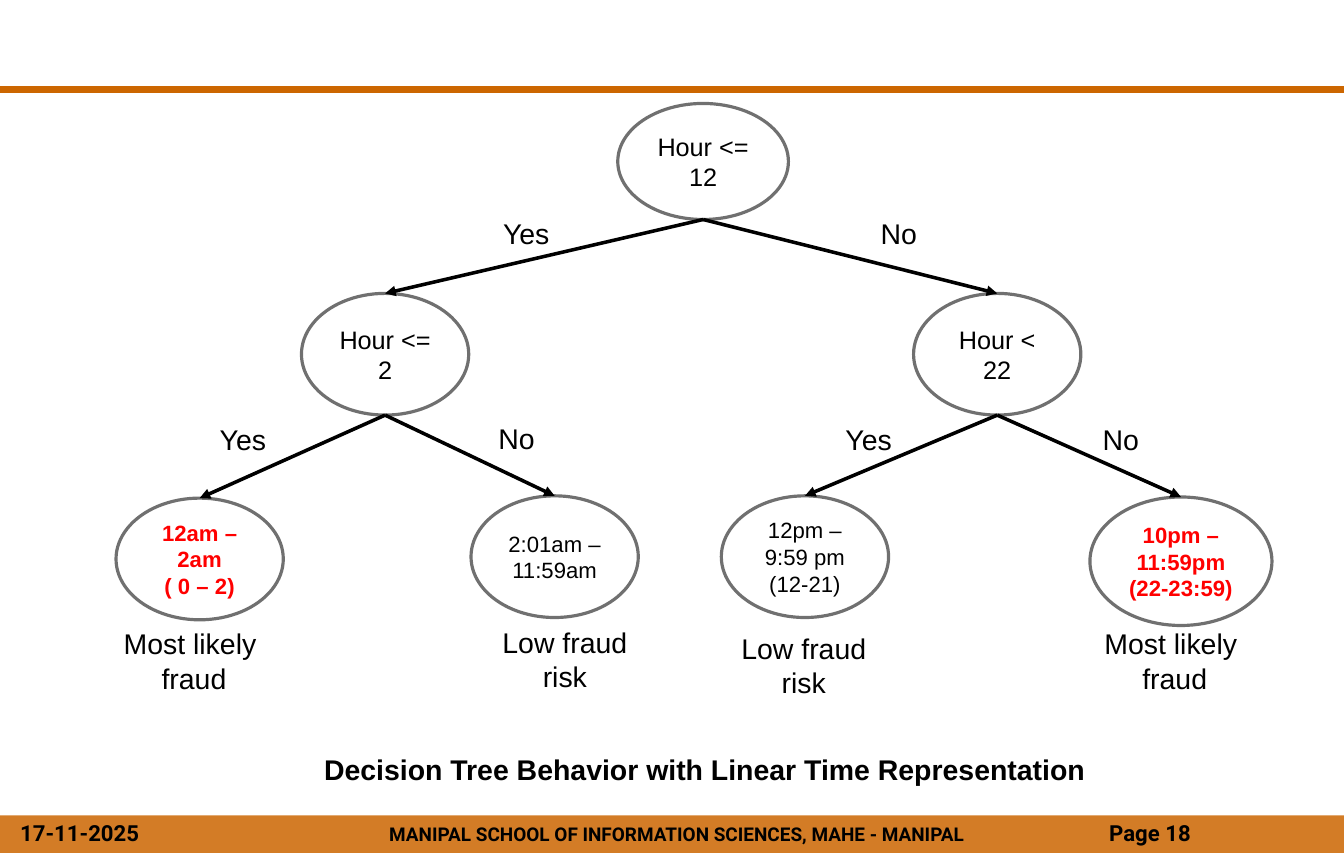
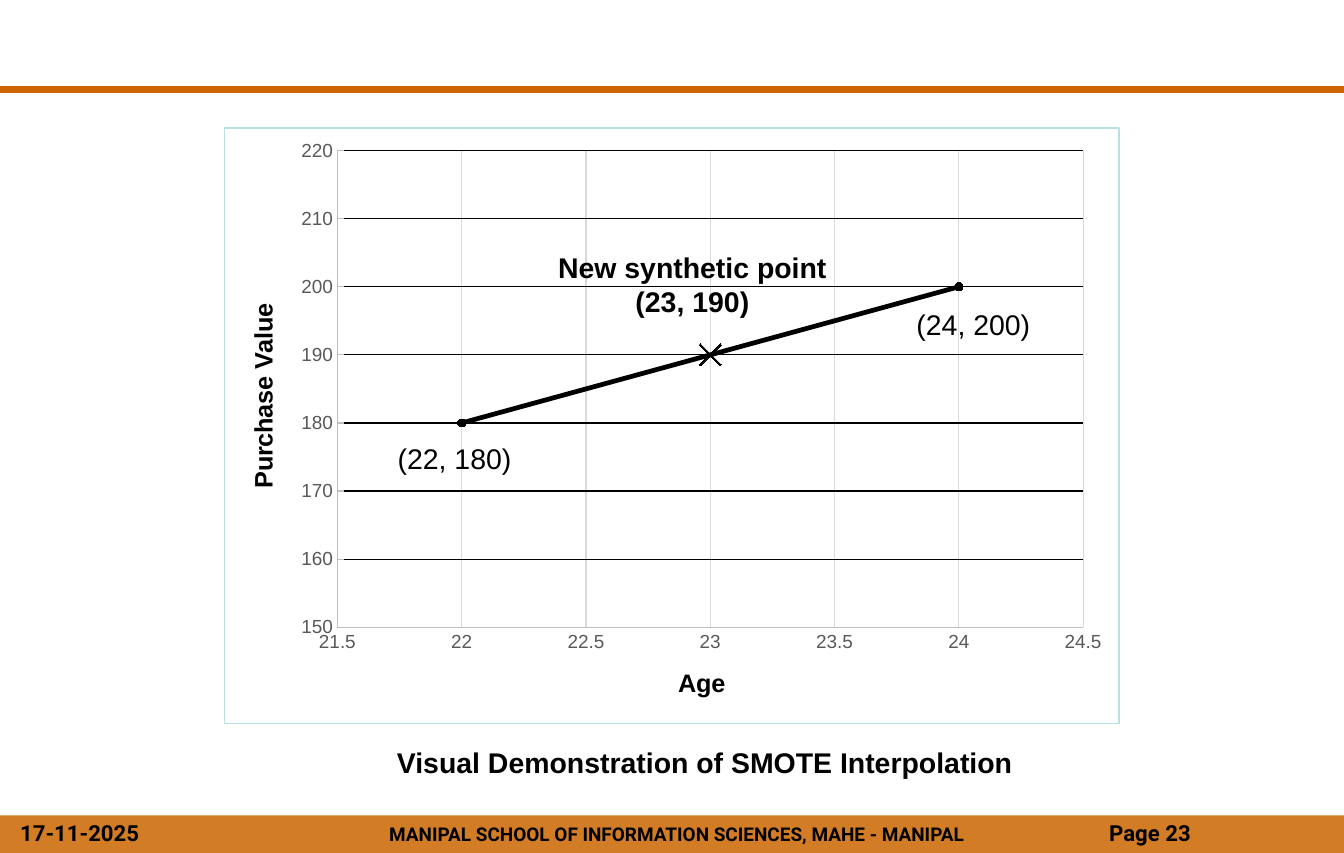
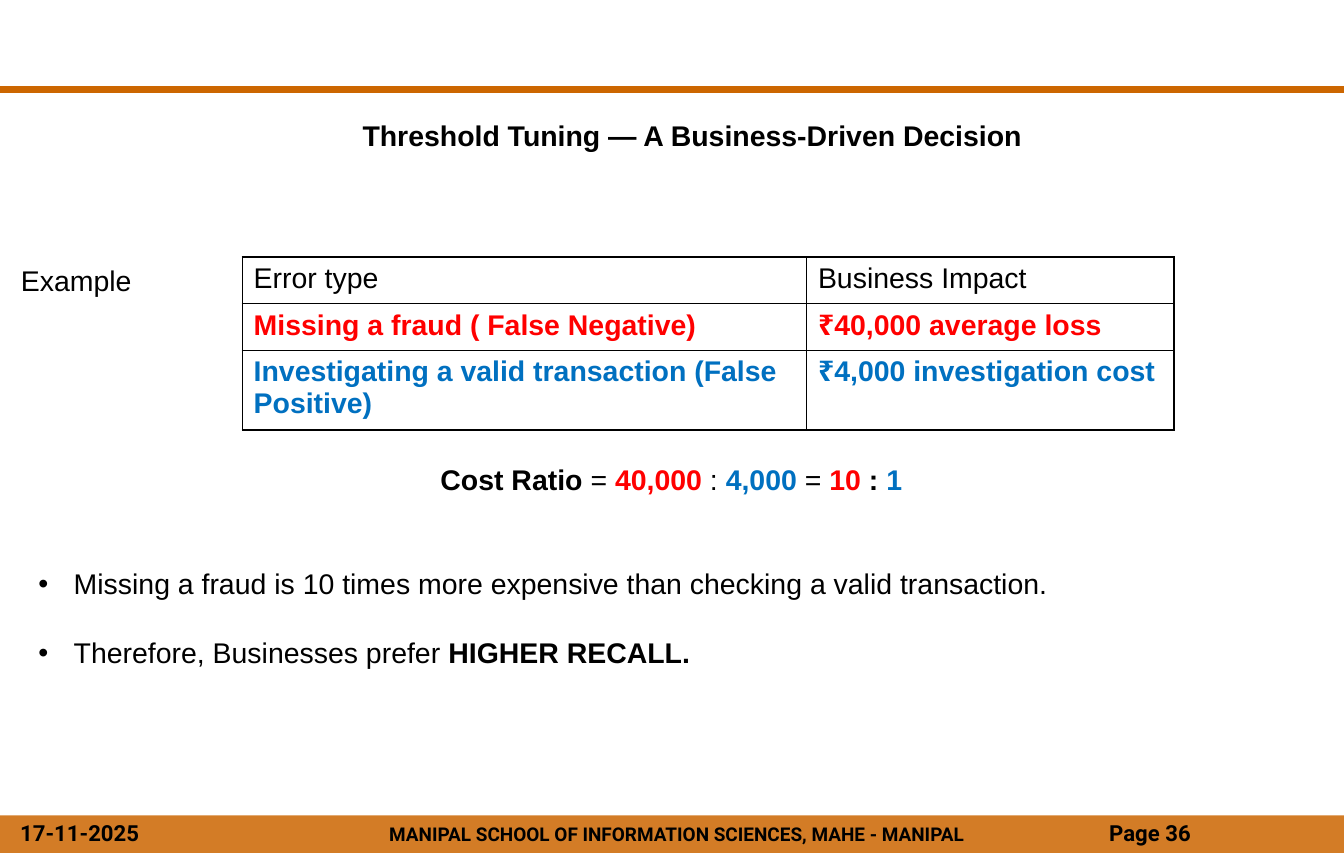
from lxml import etree
from pptx import Presentation
from pptx.chart import data as cd
from pptx.dml.color import RGBColor
from pptx.enum import chart as ch, shapes, text
from pptx.oxml import parse_xml
from pptx.oxml.ns import nsdecls, qn
from pptx.util import Inches, Pt

BLACK = RGBColor(0, 0, 0)
WHITE = RGBColor(255, 255, 255)
RED = RGBColor(255, 0, 0)
BLUE = RGBColor(0, 0x70, 0xC0)
BAND = RGBColor(0xCC, 0x66, 0)
GRAY = RGBColor(0x70, 0x70, 0x70)
TICK = RGBColor(0x59, 0x59, 0x59)
AXIS = RGBColor(0xBF, 0xBF, 0xBF)
GRID = RGBColor(0xD9, 0xD9, 0xD9)
LEFT, MID = text.PP_ALIGN.LEFT, text.PP_ALIGN.CENTER

prs = Presentation()
prs.slide_width, prs.slide_height = Inches(11.8125), Inches(7.5)


def write(frame, lines, size=18, bold=False, color=BLACK, align=MID, face="Arial"):
    frame.text = lines
    for para in frame.paragraphs:
        para.alignment = align
        font = para.font
        font.size, font.name, font.bold = Pt(size), face, bold
        font.color.rgb = color


def label(slide, lines, x, y, w, h=0.4, wrap=False, **style):
    frame = slide.shapes.add_textbox(Inches(x), Inches(y), Inches(w), Inches(h)).text_frame
    frame.word_wrap = wrap
    write(frame, lines, **style)
    return frame


pages = []
for num in (18, 23, 36):
    page = prs.slides.add_slide(prs.slide_layouts[6])
    rule = page.shapes.add_connector(shapes.MSO_CONNECTOR.STRAIGHT, 0, Inches(0.79), Inches(11.84), Inches(0.79))
    rule.line.color.rgb, rule.line.width = BAND, Pt(4.5)
    etree.SubElement(rule._element.spPr, qn("a:effectLst"))
    band = page.shapes.add_shape(shapes.MSO_SHAPE.RECTANGLE, 0, Inches(7.17), prs.slide_width, Inches(0.33))
    band.shadow.inherit = False
    band.fill.solid()
    band.fill.fore_color.rgb = BAND
    tint = band._element.spPr.find(qn("a:solidFill"))[0]
    etree.SubElement(tint, qn("a:alpha")).set("val", "85000")
    band.line.fill.background()
    for words, x, y, w, size, align in (
        ("MANIPAL SCHOOL OF INFORMATION SCIENCES, MAHE - MANIPAL", 2.85, 7.18, 6.2, 12, MID),
        ("17-11-2025", 0.08, 7.16, 1.33, 14, LEFT),
        (f"Page {num}", 9.65, 7.16, 2.15, 14, LEFT),
    ):
        label(page, words, x, y, w, 0.33, wrap=True, size=size, bold=True, align=align, face="Roboto")
    pages.append(page)
tree, plot, cost = pages

nodes = []
for words, x, y, w, h, size, color in (
    ("Hour <= 12", 5.43, 0.91, 1.5, 1.02, 16, BLACK),
    ("Hour <= 2", 2.65, 2.58, 1.47, 1.07, 16, BLACK),
    ("Hour < 22", 8.03, 2.58, 1.47, 1.07, 16, BLACK),
    ("12am – 2am\n( 0 – 2)", 1.02, 4.38, 1.47, 1.07, 14, RED),
    ("2:01am – 11:59am", 4.14, 4.36, 1.47, 1.07, 14, BLACK),
    ("12pm – 9:59 pm\n(12-21)", 6.34, 4.36, 1.47, 1.07, 14, BLACK),
    ("10pm – 11:59pm\v(22-23:59)", 9.58, 4.37, 1.6, 1.13, 14, RED),
):
    node = tree.shapes.add_shape(shapes.MSO_SHAPE.OVAL, Inches(x), Inches(y), Inches(w), Inches(h))
    node.shadow.inherit = False
    node.fill.solid()
    node.fill.fore_color.rgb = WHITE
    node.line.color.rgb, node.line.width = GRAY, Pt(2)
    node.text_frame.word_wrap = True
    node.text_frame.vertical_anchor = text.MSO_ANCHOR.MIDDLE
    write(node.text_frame, words, size, color == RED, color)
    nodes.append(node)

for i, node in enumerate(nodes[1:]):
    top = nodes[i // 2]
    x, y = top.left + top.width // 2, top.top + top.height
    arrow = tree.shapes.add_connector(shapes.MSO_CONNECTOR.STRAIGHT, x, y, x, y)
    arrow.end_connect(node, 0)
    arrow.line.color.rgb, arrow.line.width = BLACK, Pt(2.25)
    etree.SubElement(arrow.line._get_or_add_ln(), qn("a:tailEnd")).set("type", "triangle")
    etree.SubElement(arrow._element.spPr, qn("a:effectLst"))

for i, (x, y) in enumerate(((4.32, 1.85), (7.64, 1.85), (1.83, 3.66), (4.28, 3.65), (7.33, 3.66), (9.59, 3.66))):
    label(tree, ("Yes", "No")[i % 2], x, y, (0.61, 0.52)[i % 2])
for words, x, y, w in (
    ("Most likely \nfraud", 0.98, 5.46, 1.45),
    ("Low fraud\nrisk", 4.31, 5.45, 1.31),
    ("Low fraud\nrisk", 6.41, 5.5, 1.31),
    ("Most likely \nfraud", 9.6, 5.46, 1.45),
):
    label(tree, words, x, y, w, 0.71)
label(tree, "Decision Tree Behavior with Linear Time Representation", 2.75, 6.56, 7.1,
      wrap=True, bold=True, align=LEFT)

data = cd.XyChartData()
line = data.add_series("Series 1")
for x, y in ((22, 180), (24, 200), (23, 190)):
    line.add_data_point(x, y)
chart = plot.shapes.add_chart(ch.XL_CHART_TYPE.XY_SCATTER_LINES, Inches(1.97), Inches(1.12),
                              Inches(7.87), Inches(5.25), data).chart
chart.has_legend = chart.has_title = False
chart.font.size, chart.font.name, chart.font.color.rgb = Pt(10), "Arial", BLACK
chart.plots[0].vary_by_categories = False
frame = chart._chartSpace.find(qn("c:chart"))
frame.addnext(parse_xml(
    f'<c:spPr {nsdecls("c", "a")}><a:solidFill><a:srgbClr val="FFFFFF"/></a:solidFill>'
    '<a:ln w="9525"><a:solidFill><a:srgbClr val="BBE0E3"/></a:solidFill></a:ln></c:spPr>'))

area = frame.find(qn("c:plotArea"))
for old in area.findall(qn("c:layout")):
    area.remove(old)
area.insert(0, parse_xml(
    f'<c:layout {nsdecls("c")}><c:manualLayout><c:layoutTarget val="inner"/>'
    '<c:xMode val="edge"/><c:yMode val="edge"/><c:x val="0.126"/><c:y val="0.038"/>'
    '<c:w val="0.834"/><c:h val="0.8"/></c:manualLayout></c:layout>'))

for axis, name, low, high, step, grid, tick, x, y in (
    (chart.category_axis, "Age", 21.5, 24.5, 0.5, GRID, ch.XL_TICK_MARK.NONE, 0.502, 0.897),
    (chart.value_axis, "Purchase Value", 150, 220, 10, BLACK, ch.XL_TICK_MARK.INSIDE, 0.02, 0.287),
):
    axis.minimum_scale, axis.maximum_scale, axis.major_unit = low, high, step
    axis.major_tick_mark, axis.minor_tick_mark = tick, ch.XL_TICK_MARK.NONE
    axis.has_major_gridlines = True
    for pen, color in ((axis.format.line, AXIS), (axis.major_gridlines.format.line, grid)):
        pen.color.rgb, pen.width = color, Pt(0.75)
    font = axis.tick_labels.font
    font.size, font.name, font.color.rgb = Pt(12), "Arial", TICK
    axis.tick_labels.number_format, axis.tick_labels.number_format_is_linked = "General", False
    write(axis.axis_title.text_frame, name, 16, True)
    title = axis.axis_title._element
    for old in title.findall(qn("c:layout")):
        title.remove(old)
    title.find(qn("c:tx")).addnext(parse_xml(
        f'<c:layout {nsdecls("c")}><c:manualLayout><c:xMode val="edge"/><c:yMode val="edge"/>'
        f'<c:x val="{x}"/><c:y val="{y}"/></c:manualLayout></c:layout>'))

line = chart.plots[0].series[0]
line.smooth = False
for part, style, size in (
    (line, ch.XL_MARKER_STYLE.CIRCLE, 5),
    (line.points[2], ch.XL_MARKER_STYLE.X, 14),
):
    part.format.line.color.rgb, part.format.line.width = BLACK, Pt(3)
    mark = part.marker
    mark.style, mark.size = style, size
    mark.format.fill.solid()
    mark.format.fill.fore_color.rgb = BLACK
    mark.format.line.color.rgb = BLACK

label(plot, "(22, 180)", 3.39, 3.83, 1.21)
label(plot, "(24, 200)", 7.95, 2.65, 1.21)
label(plot, "New synthetic point\n(23, 190)", 4.79, 2.15, 2.59, 0.71, bold=True)
label(plot, "Visual Demonstration of SMOTE Interpolation", 3.39, 6.5, 5.94, wrap=True, bold=True, align=LEFT)

label(cost, "Threshold Tuning — A Business-Driven Decision", 3.06, 0.99, 6.05, bold=True)
label(cost, "Example", 0.08, 2.26, 1.18)
table = cost.shapes.add_table(3, 2, Inches(2.13), Inches(2.26), Inches(8.19), Inches(1.51)).table
table.first_row = table.horz_banding = False
for col, w in zip(table.columns, (4.96, 3.23)):
    col.width = Inches(w)
for row, h in zip(table.rows, (0.41, 0.41, 0.69)):
    row.height = Inches(h)
for r, (color, words) in enumerate((
    (BLACK, ("Error type", "Business Impact")),
    (RED, ("Missing a fraud ( False Negative)", "₹40,000 average loss")),
    (BLUE, ("Investigating a valid transaction (False Positive)", "₹4,000 investigation cost")),
)):
    for c, word in enumerate(words):
        cell = table.cell(r, c)
        write(cell.text_frame, word, bold=r > 0, color=color, align=LEFT)
        for side in ("lnL", "lnR", "lnT", "lnB"):
            cell._tc.get_or_add_tcPr().append(parse_xml(
                f'<a:{side} {nsdecls("a")} w="12700"><a:solidFill><a:srgbClr val="000000"/>'
                f'</a:solidFill></a:{side}>'))
        cell.fill.background()

ratio = label(cost, "", 3.76, 4.01, 4.28).paragraphs[0]
for words, color, bold in (
    ("Cost Ratio ", BLACK, True), ("= ", BLACK, False), ("40,000", RED, True),
    (" : ", BLACK, False), ("4,000", BLUE, True), (" = ", BLACK, False),
    ("10 ", RED, True), (": ", BLACK, True), ("1", BLUE, True),
):
    run = ratio.add_run()
    run.text, run.font.bold = words, bold
    run.font.color.rgb = color

notes = cost.shapes.add_textbox(Inches(0.24), Inches(4.93), Inches(10), Inches(1.01)).text_frame
notes.word_wrap = True
notes.text = "Missing a fraud is 10 times more expensive than checking a valid transaction.\nTherefore, Businesses prefer "
for para in notes.paragraphs:
    props = para._p.get_or_add_pPr()
    props.set("marL", str(Inches(0.31)))
    props.set("indent", str(-Inches(0.31)))
    etree.SubElement(props, qn("a:buFont")).set("typeface", "Arial")
    etree.SubElement(props, qn("a:buChar")).set("char", "•")
    para.font.size, para.font.name, para.font.color.rgb = Pt(18), "Arial", BLACK
para.space_before = Pt(22)
run = para.add_run()
run.text, run.font.bold = "HIGHER RECALL.", True

prs.save("out.pptx")
